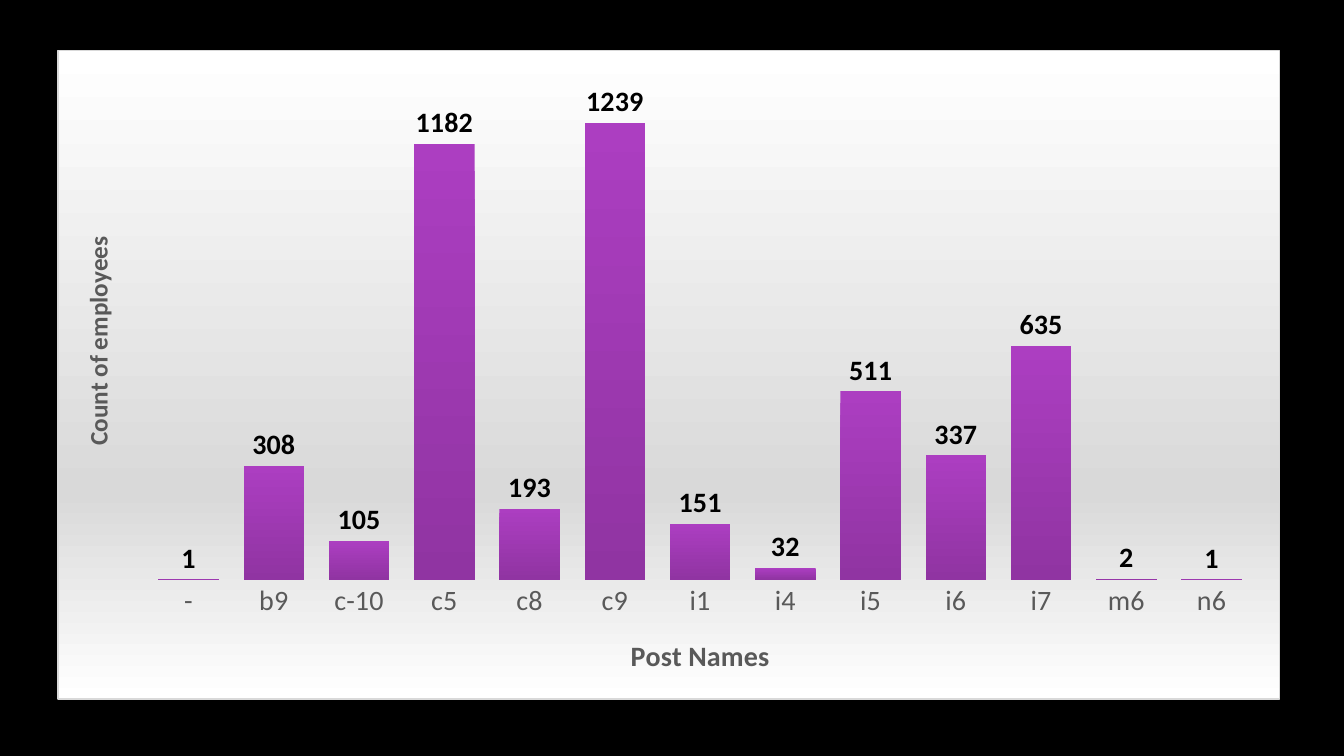
from lxml import etree
from pptx import Presentation
from pptx.chart.data import CategoryChartData
from pptx.dml.color import RGBColor
from pptx.enum import chart as ch
from pptx.oxml import ns
from pptx.util import Inches, Pt

POSTS = {
    "-": 1, "b9": 308, "c-10": 105, "c5": 1182, "c8": 193, "c9": 1239, "i1": 151,
    "i4": 32, "i5": 511, "i6": 337, "i7": 635, "m6": 2, "n6": 1,
}
PLOT_BOX = {"x": 0.072, "y": 0.02, "w": 0.907, "h": 0.796}


def rgb(color):
    return RGBColor.from_string(color)


def style_font(font, size, color, bold=False):
    font.name = "Calibri"
    font.size = Pt(size)
    font.bold = bold
    font.color.rgb = rgb(color)


def add_child(parent, tag, **attrs):
    child = etree.SubElement(parent, ns.qn(tag))
    for name, value in attrs.items():
        child.set(name, str(value))
    return child


def add_gradient(sp_pr, stops):
    grad = add_child(sp_pr, "a:gradFill", rotWithShape=1)
    stop_list = add_child(grad, "a:gsLst")
    for percent, color in stops:
        stop = add_child(stop_list, "a:gs", pos=percent * 1000)
        add_child(stop, "a:srgbClr", val=color)
    add_child(grad, "a:lin", ang=90 * 60000, scaled=0)


def style_chart_area(chart, stops, border):
    space = chart.element
    sp_pr = add_child(space, "c:spPr")
    space.find(ns.qn("c:chart")).addnext(sp_pr)
    add_gradient(sp_pr, stops)
    line = add_child(sp_pr, "a:ln", w=Pt(0.75))
    add_child(add_child(line, "a:solidFill"), "a:srgbClr", val=border)


def place_plot(chart, box):
    area = chart.element.find(".//" + ns.qn("c:plotArea"))
    for old in area.findall(ns.qn("c:layout")):
        area.remove(old)
    layout = add_child(area, "c:layout")
    area.insert(0, layout)
    manual = add_child(layout, "c:manualLayout")
    add_child(manual, "c:layoutTarget", val="inner")
    for side in "xy":
        add_child(manual, f"c:{side}Mode", val="edge")
    for side, share in box.items():
        add_child(manual, f"c:{side}", val=share)


def add_axis_title(axis, title, size):
    tf = axis.axis_title.text_frame
    tf.text = title
    style_font(tf.paragraphs[0].font, size, "595959", True)


def style_axes(chart):
    posts, counts = chart.category_axis, chart.value_axis
    add_axis_title(posts, "Post Names", 20)
    add_axis_title(counts, "Count of employees", 18)
    style_font(posts.tick_labels.font, 20, "595959")
    posts.major_tick_mark = ch.XL_TICK_MARK.NONE
    posts.format.line.fill.background()
    counts.has_major_gridlines = False
    counts.minimum_scale = 0
    counts.maximum_scale = 1400
    counts.visible = False


def style_columns(plot):
    plot.gap_width = 41
    plot.vary_by_categories = False
    series = plot.series[0]
    series.invert_if_negative = False
    add_gradient(series.format.fill and series.element_sp_pr if hasattr(series, "element_sp_pr")
                 else series._element.get_or_add_spPr(), [(0, "AC3EC1"), (100, "9034A2")])
    labels = series.data_labels
    labels.show_value = True
    labels.position = ch.XL_LABEL_POSITION.OUTSIDE_END
    style_font(labels.font, 20, "000000", True)


def add_post_chart(slide):
    data = CategoryChartData()
    data.categories = list(POSTS)
    data.add_series("Series 1", list(POSTS.values()))
    chart = slide.shapes.add_chart(
        ch.XL_CHART_TYPE.COLUMN_CLUSTERED,
        Inches(0.57), Inches(0.5), Inches(12.13), Inches(6.44), data,
    ).chart
    chart.has_title = False
    chart.has_legend = False
    style_font(chart.font, 10, "FFFFFF")
    style_axes(chart)
    style_columns(chart.plots[0])
    style_chart_area(chart, [(0, "FFFFFF"), (68, "D9D9D9"), (100, "FFFFFF")], "D9D9D9")
    place_plot(chart, PLOT_BOX)


def main():
    prs = Presentation()
    prs.slide_width = Inches(13.33)
    prs.slide_height = Inches(7.5)
    slide = prs.slides.add_slide(prs.slide_layouts[6])
    slide.background.fill.solid()
    slide.background.fill.fore_color.rgb = rgb("000000")
    add_post_chart(slide)
    prs.save("out.pptx")


if __name__ == "__main__":
    main()
